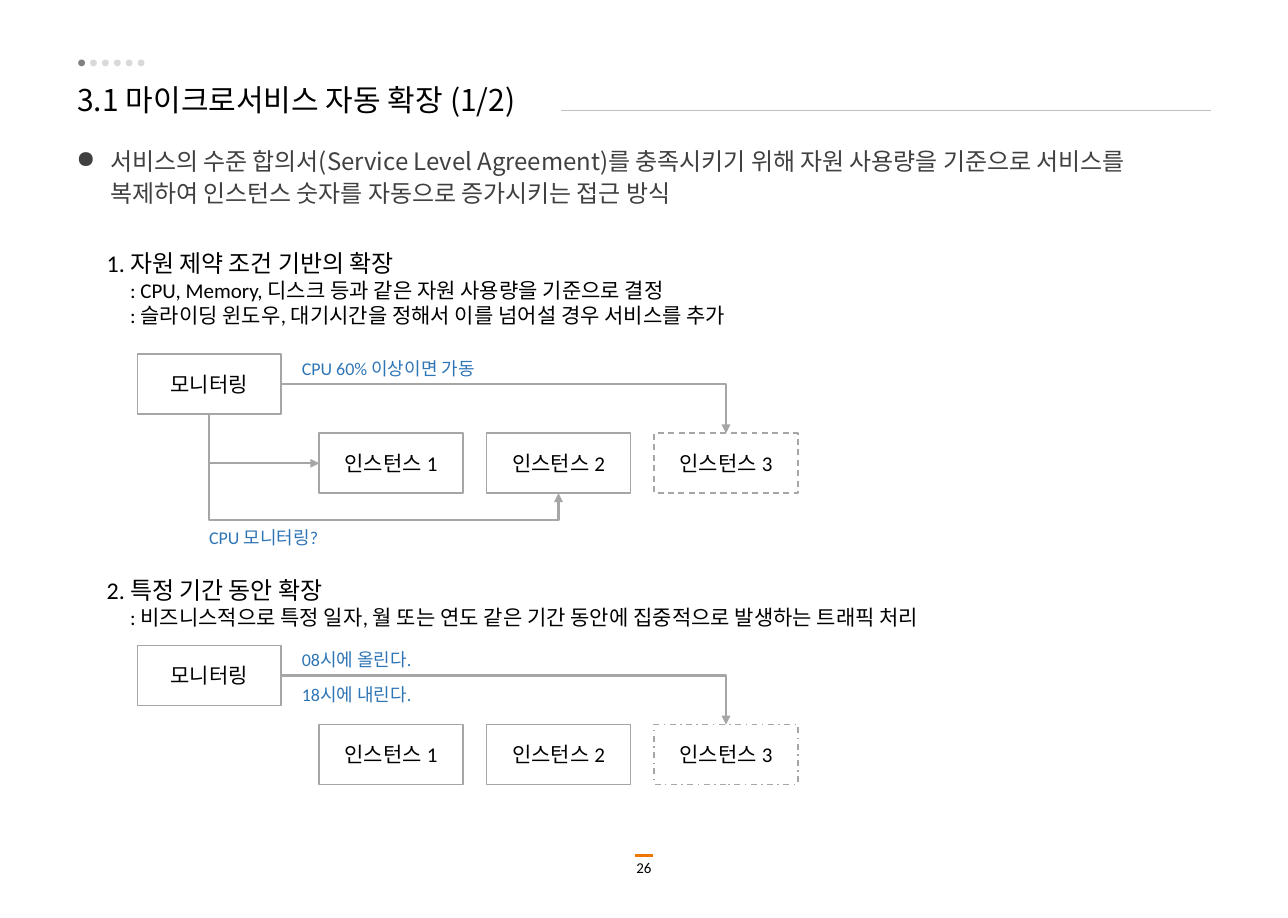
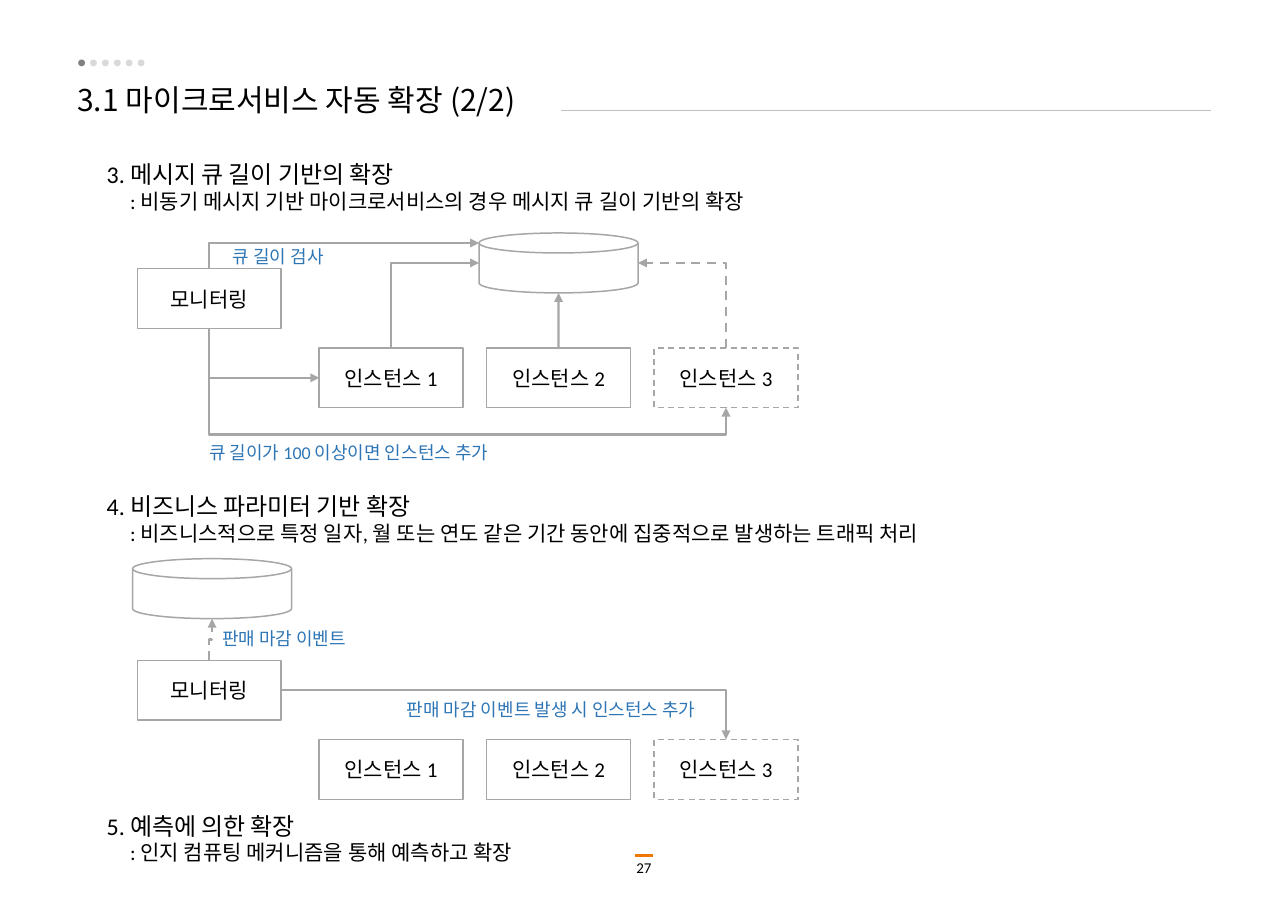
from lxml.etree import SubElement
from pptx import Presentation
from pptx.dml.color import RGBColor
from pptx.enum.dml import MSO_LINE
from pptx.enum.shapes import MSO_CONNECTOR, MSO_SHAPE
from pptx.enum.text import MSO_ANCHOR, MSO_AUTO_SIZE, PP_ALIGN
from pptx.oxml.ns import qn
from pptx.util import Cm, Pt

BLACK = RGBColor(0x00, 0x00, 0x00)
WHITE = RGBColor(0xFF, 0xFF, 0xFF)
BODY_GRAY = RGBColor(0x40, 0x40, 0x40)
DOT_GRAY = RGBColor(0x80, 0x80, 0x80)
DOT_LIGHT = RGBColor(0xD9, 0xD9, 0xD9)
RULE_GRAY = RGBColor(0xBF, 0xBF, 0xBF)
SHAPE_GRAY = RGBColor(0xA6, 0xA6, 0xA6)
LABEL_BLUE = RGBColor(0x2E, 0x75, 0xB6)
ORANGE = RGBColor(0xEE, 0x76, 0x03)

KOREAN_FONT = "Noto Sans CJK KR"
TITLE = {"name": KOREAN_FONT, "size": Pt(20), "color": BLACK}
BODY = {"name": KOREAN_FONT, "size": Pt(16), "color": BODY_GRAY}
HEADING = {"name": "Calibri", "size": Pt(16), "color": BLACK}
DETAIL = {**HEADING, "size": Pt(14)}
LABEL = {**HEADING, "size": Pt(12), "color": LABEL_BLUE}
PAGE = {**HEADING, "size": Pt(10)}
FITTED = {"word_wrap": False, "auto_size": MSO_AUTO_SIZE.SHAPE_TO_FIT_TEXT}
CENTERED = {"alignment": PP_ALIGN.CENTER}

MONITOR_LEFT, INSTANCE_LEFT, INSTANCE_PITCH = 3.23, 7.51, 3.94
INSTANCE_DROP = 1.86
BOX_WIDTH, BOX_HEIGHT, DISK_WIDTH = 3.38, 1.41, 3.74
TOP, LEFT, BOTTOM, RIGHT = range(4)


def set_values(target, values):
    """Set each named attribute of the target."""
    for name, value in values.items():
        setattr(target, name, value)


def write(paragraph, text, style, layout=None):
    """Write one styled run into a paragraph."""
    set_values(paragraph, layout or {})
    run = paragraph.add_run()
    run.text = text
    for name, value in style.items():
        if name == "color":
            run.font.color.rgb = value
        else:
            setattr(run.font, name, value)
    east_asian = SubElement(run.font._element, qn("a:ea"))
    east_asian.set("typeface", KOREAN_FONT)


def add_text(slide, place, lines, frame_values, layout=None):
    """Add a text box holding (text, style) lines."""
    shape = slide.shapes.add_textbox(*map(Cm, place))
    frame = shape.text_frame
    set_values(frame, frame_values)
    for index, (text, style) in enumerate(lines):
        paragraph = frame.add_paragraph() if index else frame.paragraphs[0]
        write(paragraph, text, style, layout)
    return shape


def set_indent(paragraph, left, first=0):
    """Set the left margin and first-line indent of a paragraph."""
    properties = paragraph._p.get_or_add_pPr()
    properties.set("marL", str(Cm(left)))
    properties.set("indent", str(Cm(first)))
    return properties


def add_label(slide, left, top, width, text):
    """Add a blue label."""
    add_text(slide, (left, top, width, 0.77), [(text, LABEL)], FITTED)


def add_section(slide, top, width, heading, *details):
    """Add a numbered heading with indented details."""
    lines = [(heading, HEADING)] + [(detail, DETAIL) for detail in details]
    height = 0.94 + 0.6 * len(details)
    shape = add_text(slide, (2.26, top, width, height), lines, FITTED)
    for paragraph in shape.text_frame.paragraphs[1:]:
        set_indent(paragraph, 0.55)


def add_summary(slide, text):
    """Add the bulleted summary under the title."""
    margins = dict.fromkeys(("margin_left", "margin_top", "margin_right", "margin_bottom"), 0)
    shape = add_text(slide, (1.8, 3.38, 26.7, 1.83), [], {**margins, "word_wrap": True})
    paragraph = shape.text_frame.paragraphs[0]
    properties = set_indent(paragraph, 0.79, -0.79)
    SubElement(properties, qn("a:buChar")).set("char", "●")
    write(paragraph, text, BODY, {"line_spacing": 1.1})


def add_outline(slide, kind, place, dash=None):
    """Add an unfilled gray outlined shape."""
    shape = slide.shapes.add_shape(kind, *map(Cm, place))
    shape.shadow.inherit = False
    shape.fill.background()
    shape.line.color.rgb = SHAPE_GRAY
    set_values(shape.line, {"width": Pt(1), "dash_style": dash})
    return shape


def add_box(slide, left, top, text, dash=None):
    """Add a captioned rectangle of the diagram."""
    place = (left, top, BOX_WIDTH, BOX_HEIGHT)
    shape = add_outline(slide, MSO_SHAPE.RECTANGLE, place, dash)
    shape.text_frame.vertical_anchor = MSO_ANCHOR.MIDDLE
    write(shape.text_frame.paragraphs[0], text, DETAIL, CENTERED)
    return shape


def add_disk(slide, left, top):
    """Add a flat storage disk."""
    place = (left, top, DISK_WIDTH, BOX_HEIGHT)
    return add_outline(slide, MSO_SHAPE.FLOWCHART_MAGNETIC_DISK, place)


def add_services(slide, top, last_dash=MSO_LINE.DASH):
    """Add the monitor and its three instances."""
    monitor = add_box(slide, MONITOR_LEFT, top, "모니터링")
    instances = [
        add_box(slide, INSTANCE_LEFT + index * INSTANCE_PITCH, top + INSTANCE_DROP,
                f"인스턴스 {index + 1}", last_dash if index == 2 else None)
        for index in range(3)
    ]
    return monitor, instances


def side(shape, index):
    """Return the middle of a side of a shape."""
    across = {LEFT: 0, RIGHT: shape.width}.get(index, shape.width // 2)
    down = {TOP: 0, BOTTOM: shape.height}.get(index, shape.height // 2)
    return shape.left + across, shape.top + down


def add_line(slide, kind, start, end, color, width, dash=None):
    """Add a connector without a shadow."""
    connector = slide.shapes.add_connector(kind, *start, *end)
    connector.line.color.rgb = color
    set_values(connector.line, {"width": Pt(width), "dash_style": dash})
    SubElement(connector._element.spPr, qn("a:effectLst"))
    return connector


def add_arrow(slide, start, end, kind=MSO_CONNECTOR.ELBOW, dash=None):
    """Add a gray connector with an arrowhead at its end."""
    connector = add_line(slide, kind, start, end, SHAPE_GRAY, 1.5, dash)
    outline = connector._element.spPr.find(qn("a:ln"))
    SubElement(outline, qn("a:tailEnd")).set("type", "triangle")
    return connector


def add_elbow(slide, start, end, vertical=True, middle=None, dash=None):
    """Add an elbow arrow with one bend, or two bends when middle is given."""
    connector = add_arrow(slide, start, end, dash=dash)
    properties = connector._element.spPr
    geometry = properties.find(qn("a:prstGeom"))
    if middle is None:
        geometry.set("prst", "bentConnector2")
    else:
        adjustments = geometry.find(qn("a:avLst"))
        if adjustments is None:
            adjustments = SubElement(geometry, qn("a:avLst"))
        guide = SubElement(adjustments, qn("a:gd"))
        guide.set("name", "adj1")
        guide.set("fmla", f"val {round(middle * 100000)}")
    if vertical:
        across, down = end[0] - start[0], end[1] - start[1]
        width, height = abs(down), abs(across)
        set_values(connector, {
            "left": (start[0] + end[0] - width) // 2,
            "top": (start[1] + end[1] - height) // 2,
            "width": width,
            "height": height,
        })
        transform = properties.find(qn("a:xfrm"))
        transform.set("rot", str((90 if down > 0 else 270) * 60000))
        transform.set("flipH", "0")
        transform.set("flipV", "1" if (down > 0) == (across > 0) else "0")


def add_slide(presentation, part, page):
    """Add a slide with the shared title, dots, rules and page number."""
    slide = presentation.slides.add_slide(presentation.slide_layouts[6])
    rules = [(14.94, 15.37, 20.12, ORANGE, 1.75), (1.85, 28.5, 2.59, RULE_GRAY, 0.5)]
    for left, right, top, color, width in rules:
        add_line(slide, MSO_CONNECTOR.STRAIGHT, (Cm(left), Cm(top)), (Cm(right), Cm(top)),
                 color, width)
    for index in range(6):
        place = (1.84 + index * 0.28, 1.4, 0.16, 0.16)
        dot = slide.shapes.add_shape(MSO_SHAPE.OVAL, *map(Cm, place))
        dot.shadow.inherit = False
        dot.fill.solid()
        dot.fill.fore_color.rgb = DOT_LIGHT if index else DOT_GRAY
        dot.line.fill.background()
    title = add_text(slide, (1.82, 1.88, 11.38, 1.02),
                     [(f"3.1 마이크로서비스 자동 확장 ({part}/2)", TITLE)],
                     {**FITTED, "margin_left": 0, "margin_right": Cm(0.1)},
                     {"line_spacing": 0.9})
    title.fill.solid()
    title.fill.fore_color.rgb = WHITE
    add_text(slide, (13.03, 20.07, 4.24, 1.14), [(str(page), PAGE)],
             {"word_wrap": True}, CENTERED)
    return slide


def add_resource_slide(presentation):
    """Build the slide on resource and period scaling."""
    slide = add_slide(presentation, 1, 26)
    add_summary(slide, "서비스의 수준 합의서(Service Level Agreement)를 충족시키기 위해 자원 사용량을 "
                       "기준으로 서비스를 복제하여 인스턴스 숫자를 자동으로 증가시키는 접근 방식")

    add_section(slide, 5.72, 16.28, "1. 자원 제약 조건 기반의 확장",
                ": CPU, Memory, 디스크 등과 같은 자원 사용량을 기준으로 결정",
                ": 슬라이딩 윈도우, 대기시간을 정해서 이를 넘어설 경우 서비스를 추가")
    monitor, (first, second, third) = add_services(slide, 8.33)
    add_elbow(slide, side(monitor, BOTTOM), side(first, LEFT))
    add_elbow(slide, side(monitor, BOTTOM), side(second, BOTTOM), middle=1.34)
    add_elbow(slide, side(monitor, RIGHT), side(third, TOP), vertical=False)
    add_label(slide, 4.67, 12.27, 3.25, "CPU 모니터링?")
    add_label(slide, 6.85, 8.28, 4.85, "CPU 60% 이상이면 가동")

    add_section(slide, 13.41, 21.23, "2. 특정 기간 동안 확장",
                ": 비즈니스적으로 특정 일자, 월 또는 연도 같은 기간 동안에 집중적으로 발생하는 트래픽 처리")
    monitor, (first, second, third) = add_services(slide, 15.18, MSO_LINE.DASH_DOT)
    add_elbow(slide, side(monitor, RIGHT), side(third, TOP), vertical=False)
    add_label(slide, 6.85, 15.13, 3.3, "08시에 올린다.")
    add_label(slide, 6.85, 15.95, 3.3, "18시에 내린다.")


def add_queue_slide(presentation):
    """Build the slide on queue, business and predictive scaling."""
    slide = add_slide(presentation, 2, 27)

    add_section(slide, 3.63, 17.27, "3. 메시지 큐 길이 기반의 확장",
                ": 비동기 메시지 기반 마이크로서비스의 경우 메시지 큐 길이 기반의 확장")
    monitor, (first, second, third) = add_services(slide, 6.32)
    queue = add_disk(slide, 11.27, 5.48)
    add_elbow(slide, side(monitor, BOTTOM), side(first, LEFT))
    add_elbow(slide, side(monitor, BOTTOM), side(third, BOTTOM), middle=1.34)
    add_elbow(slide, side(first, TOP), side(queue, LEFT))
    feed = add_arrow(slide, side(second, TOP), side(queue, BOTTOM), MSO_CONNECTOR.STRAIGHT)
    feed.begin_connect(second, TOP)
    add_elbow(slide, side(third, TOP), side(queue, RIGHT), dash=MSO_LINE.DASH)
    add_elbow(slide, side(monitor, TOP), (queue.left, queue.top + queue.height // 6))
    add_label(slide, 4.67, 10.26, 7.65, "큐 길이가 100 이상이면 인스턴스 추가")
    add_label(slide, 5.23, 5.64, 2.84, "큐 길이 검사")

    add_section(slide, 11.43, 21.23, "4. 비즈니스 파라미터 기반 확장",
                ": 비즈니스적으로 특정 일자, 월 또는 연도 같은 기간 동안에 집중적으로 발생하는 트래픽 처리")
    monitor, (first, second, third) = add_services(slide, 15.53)
    store = add_disk(slide, 3.12, 13.14)
    add_elbow(slide, side(monitor, RIGHT), side(third, TOP), vertical=False)
    add_elbow(slide, side(monitor, TOP), side(store, BOTTOM), middle=0.5, dash=MSO_LINE.DASH)
    add_label(slide, 4.98, 14.63, 3.71, "판매 마감 이벤트")
    add_label(slide, 9.32, 16.31, 7.95, "판매 마감 이벤트 발생 시 인스턴스 추가")

    add_section(slide, 18.95, 10.85, "5. 예측에 의한 확장",
                ": 인지 컴퓨팅 메커니즘을 통해 예측하고 확장")


def main():
    """Build and save the presentation."""
    presentation = Presentation()
    set_values(presentation, {"slide_width": Cm(30.3), "slide_height": Cm(21.59)})
    add_resource_slide(presentation)
    add_queue_slide(presentation)
    presentation.save("out.pptx")


if __name__ == "__main__":
    main()
